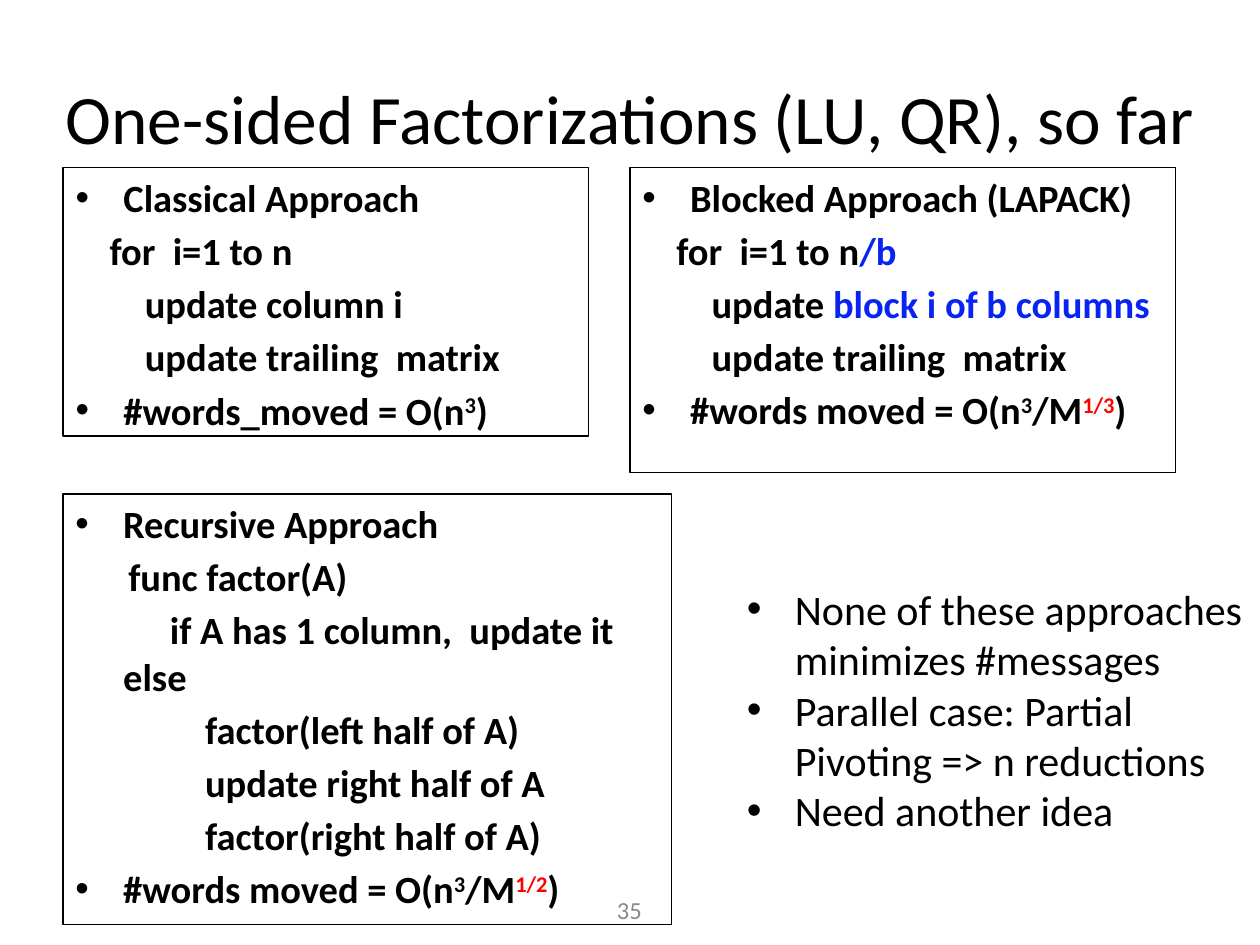
from pptx import Presentation
from pptx.dml.color import RGBColor
from pptx.enum.text import MSO_ANCHOR as Anchor, MSO_AUTO_SIZE as AutoSize, PP_ALIGN as Align
from pptx.oxml.ns import qn
from pptx.util import Inches, Pt
from lxml.etree import SubElement

COLORS = {"black": "000000", "blue": "0824F2", "red": "FF0000", "gray": "898989"}
HANG = 0.38  # where bulleted text starts

# A line is (first-line start or None for a bullet, spans);
# a span is (text, colour, raised).
CLASSICAL = [
    (None, [("Classical Approach",)]),
    (0.27, [("for  i=1 to n",)]),
    (0.55, [("update column i",)]),
    (0.55, [("update trailing  matrix",)]),
    (None, [("#words_moved = O(n",), ("3", "black", True), (")",)]),
]


def words_moved(exponent):
    return (None, [("#words moved = O(n",), ("3", "black", True), ("/M",),
                   (exponent, "red", True), (")",)])


BLOCKED = [
    (None, [("Blocked Approach (LAPACK)",)]),
    (0.27, [("for  i=1 to n",), ("/b", "blue")]),
    (0.55, [("update ",), ("block i of b columns", "blue")]),
    (0.55, [("update trailing  matrix",)]),
    words_moved("1/3"),
]
RECURSIVE = [
    (None, [("Recursive Approach",)]),
    (0.42, [("func factor(A)",)]),
    (0.75, [("if A has 1 column,  update it else",)]),
    (1.03, [("factor(left half of A)",)]),
    (1.03, [("update right half of A",)]),
    (1.03, [("factor(right half of A)",)]),
    words_moved("1/2"),
]
REMARKS = [
    (None, [("None of these approaches",)]),
    (HANG, [("minimizes #messages",)]),
    (None, [("Parallel case: Partial Pivoting => n reductions",)]),
    (None, [("Need another idea",)]),
]


def place(box, left, top, width, height):
    box.left, box.top = Inches(left), Inches(top)
    box.width, box.height = Inches(width), Inches(height)


def style_span(span, size, color="black", bold=False, raised=False):
    span.font.name = "Calibri"
    span.font.size = Pt(size)
    span.font.bold = bold
    span.font.color.rgb = RGBColor.from_string(COLORS[color])
    if raised:
        span.font._element.set("baseline", "30000")


def set_indent(paragraph, start):
    """Hang a bullet, or start the first line at a given indent."""
    properties = paragraph._p.get_or_add_pPr()
    first = 0 if start is None else start
    properties.set("marL", str(Inches(HANG)))
    properties.set("indent", str(Inches(first - HANG)))
    if start is None:
        SubElement(properties, qn("a:buFont"), typeface="Arial")
        SubElement(properties, qn("a:buChar"), char="•")
    else:
        SubElement(properties, qn("a:buNone"))


def fill_lines(box, lines, size, bold, gap):
    frame = box.text_frame
    frame.word_wrap = True
    frame.auto_size = AutoSize.NONE
    for index, (start, spans) in enumerate(lines):
        paragraph = frame.paragraphs[0] if index == 0 else frame.add_paragraph()
        paragraph.space_before = Pt(gap)
        set_indent(paragraph, start)
        for text, *look in spans:
            color, raised = (look + ["black", False][len(look):])
            span = paragraph.add_run()
            span.text = text
            style_span(span, size, color, bold, raised)


def fill_centered(box, text, size, color):
    frame = box.text_frame
    frame.text = text
    frame.word_wrap = True
    frame.auto_size = AutoSize.NONE
    frame.vertical_anchor = Anchor.MIDDLE
    frame.paragraphs[0].alignment = Align.CENTER
    style_span(frame.paragraphs[0].runs[0], size, color)


def add_box(page, *area):
    return page.shapes.add_textbox(*(Inches(length) for length in area))


def outline_approach(box, lines):
    box.line.color.rgb = RGBColor.from_string(COLORS["black"])
    box.line.width = Pt(0.75)
    fill_lines(box, lines, size=22, bold=True, gap=4)


def main():
    deck = Presentation()
    deck.slide_width, deck.slide_height = Inches(10), Inches(7.5)
    page = deck.slides.add_slide(deck.slide_layouts[1])

    # Title
    title, body = page.placeholders
    place(title, 0.25, 0.3, 9.5, 1.25)
    fill_centered(title, "One-sided Factorizations (LU, QR), so far", 39.6, "black")

    # Classical approach
    place(body, 0.5, 1.33, 4.17, 2.13)
    outline_approach(body, CLASSICAL)

    # Page number
    fill_centered(add_box(page, 3.83, 7.02, 2.33, 0.4), "35", 14, "gray")

    # Blocked and recursive approaches
    outline_approach(add_box(page, 5, 1.33, 4.33, 2.42), BLOCKED)
    outline_approach(add_box(page, 0.5, 3.92, 4.83, 3.42), RECURSIVE)

    # Remarks
    remarks = add_box(page, 5.83, 4.58, 4.17, 2.12)
    fill_lines(remarks, REMARKS, size=24, bold=False, gap=0)

    deck.save("out.pptx")


if __name__ == "__main__":
    main()
